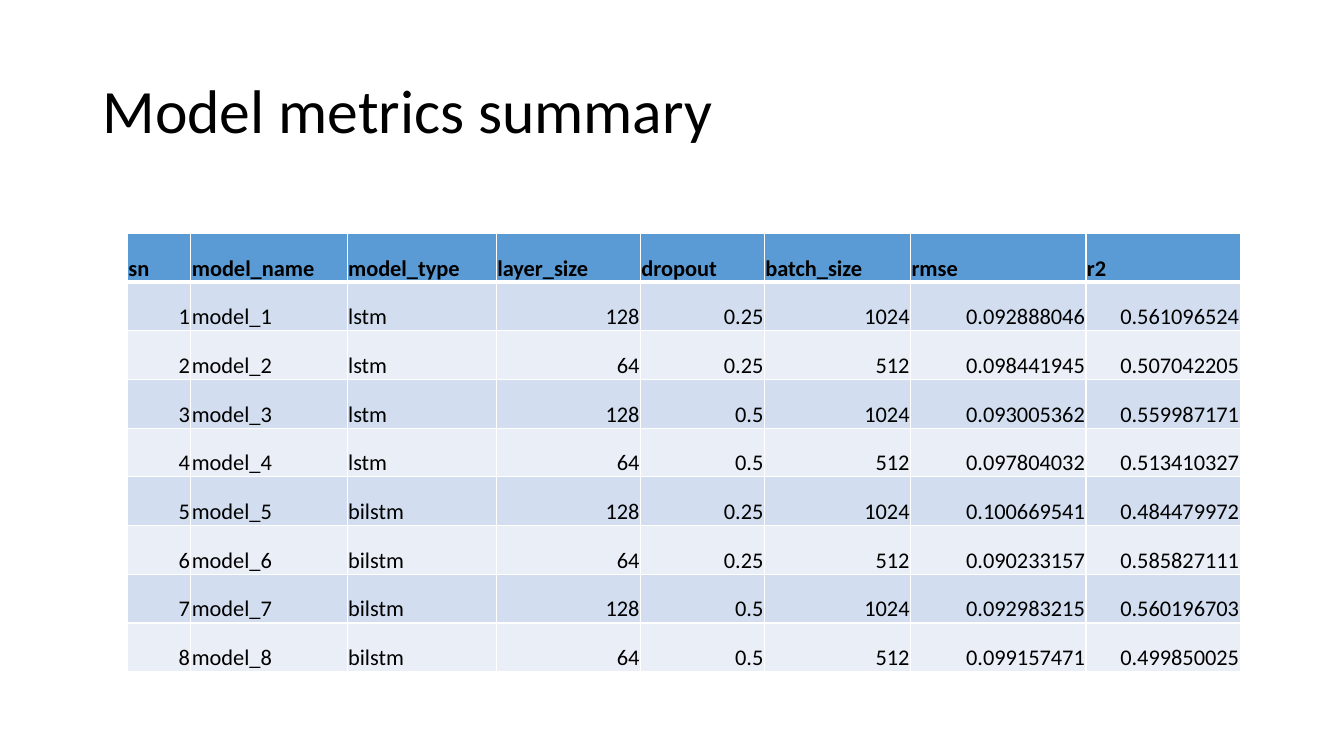
from dataclasses import dataclass

from lxml.etree import SubElement
from pptx import Presentation
from pptx.dml.color import RGBColor
from pptx.enum.text import MSO_ANCHOR, PP_ALIGN
from pptx.oxml.ns import qn
from pptx.slide import Slide
from pptx.table import _Cell
from pptx.util import Inches, Pt

FONT = "Calibri"
COLORS = {
    "text": "000000",
    "border": "FFFFFF",
    "header": "5B9BD5",
    "odd_row": "D2DEEF",
    "even_row": "EAEFF7",
}


@dataclass(frozen=True)
class Box:
    left: float
    top: float
    width: float
    height: float

    def place(self, slide_width: int, slide_height: int) -> tuple[int, int, int, int]:
        return (
            round(slide_width * self.left / 100),
            round(slide_height * self.top / 100),
            round(slide_width * self.width / 100),
            round(slide_height * self.height / 100),
        )


@dataclass(frozen=True)
class Column:
    name: str
    weight: float
    numeric: bool = True


TITLE_BOX = Box(6.88, 5.33, 86.25, 19.33)
TABLE_BOX = Box(9.48, 30.87, 82.8, 58)

COLUMNS = [
    Column("sn", 0.63),
    Column("model_name", 1.55, numeric=False),
    Column("model_type", 1.48, numeric=False),
    Column("layer_size", 1.43),
    Column("dropout", 1.23),
    Column("batch_size", 1.45),
    Column("rmse", 1.74),
    Column("r2", 1.53),
]

MODELS = [
    ("lstm", "128", "0.25", "1024", "0.092888046", "0.561096524"),
    ("lstm", "64", "0.25", "512", "0.098441945", "0.507042205"),
    ("lstm", "128", "0.5", "1024", "0.093005362", "0.559987171"),
    ("lstm", "64", "0.5", "512", "0.097804032", "0.513410327"),
    ("bilstm", "128", "0.25", "1024", "0.100669541", "0.484479972"),
    ("bilstm", "64", "0.25", "512", "0.090233157", "0.585827111"),
    ("bilstm", "128", "0.5", "1024", "0.092983215", "0.560196703"),
    ("bilstm", "64", "0.5", "512", "0.099157471", "0.499850025"),
]


def add_title(slide: Slide, text: str, position: tuple[int, int, int, int]) -> None:
    text_frame = slide.shapes.add_textbox(*position).text_frame
    text_frame.word_wrap = True
    text_frame.vertical_anchor = MSO_ANCHOR.MIDDLE
    paragraph = text_frame.paragraphs[0]
    paragraph.text = text
    paragraph.line_spacing = 0.9
    paragraph.font.name = FONT
    paragraph.font.size = Pt(44)
    paragraph.font.color.rgb = RGBColor.from_string(COLORS["text"])


def set_borders(cell: _Cell, top: float, bottom: float) -> None:
    properties = cell._tc.get_or_add_tcPr()
    for side, width in {"L": 1, "R": 1, "T": top, "B": bottom}.items():
        line = SubElement(properties, qn(f"a:ln{side}"), w=str(Pt(width)))
        fill = SubElement(line, qn("a:solidFill"))
        SubElement(fill, qn("a:srgbClr"), val=COLORS["border"])


def fill_cell(cell: _Cell, text: str, row: int, column: Column) -> None:
    is_header = row == 0
    set_borders(cell, top=3 if row == 1 else 1, bottom=3 if is_header else 1)
    color = "header" if is_header else "odd_row" if row % 2 else "even_row"
    cell.fill.solid()
    cell.fill.fore_color.rgb = RGBColor.from_string(COLORS[color])
    cell.vertical_anchor = MSO_ANCHOR.BOTTOM
    cell.margin_left = cell.margin_right = cell.margin_top = Inches(0.01)
    cell.margin_bottom = 0
    paragraph = cell.text_frame.paragraphs[0]
    paragraph.text = text
    align_right = column.numeric and not is_header
    paragraph.alignment = PP_ALIGN.RIGHT if align_right else PP_ALIGN.LEFT
    paragraph.font.name = FONT
    paragraph.font.size = Pt(16)
    paragraph.font.bold = is_header
    paragraph.font.color.rgb = RGBColor.from_string(COLORS["text"])


def add_metrics_table(slide: Slide, position: tuple[int, int, int, int]) -> None:
    header = tuple(column.name for column in COLUMNS)
    rows = [header] + [
        (str(number), f"model_{number}", *metrics)
        for number, metrics in enumerate(MODELS, start=1)
    ]
    table = slide.shapes.add_table(len(rows), len(COLUMNS), *position).table
    total_weight = sum(column.weight for column in COLUMNS)
    for index, column in enumerate(COLUMNS):
        table.columns[index].width = round(position[2] * column.weight / total_weight)
    for row, values in enumerate(rows):
        for index, (column, value) in enumerate(zip(COLUMNS, values)):
            fill_cell(table.cell(row, index), value, row, column)


def main() -> None:
    presentation = Presentation()
    presentation.slide_width = Inches(13.33)
    presentation.slide_height = Inches(7.5)
    slide_size = presentation.slide_width, presentation.slide_height
    slide = presentation.slides.add_slide(presentation.slide_layouts[6])
    add_title(slide, "Model metrics summary", TITLE_BOX.place(*slide_size))
    add_metrics_table(slide, TABLE_BOX.place(*slide_size))
    presentation.save("out.pptx")


main()
